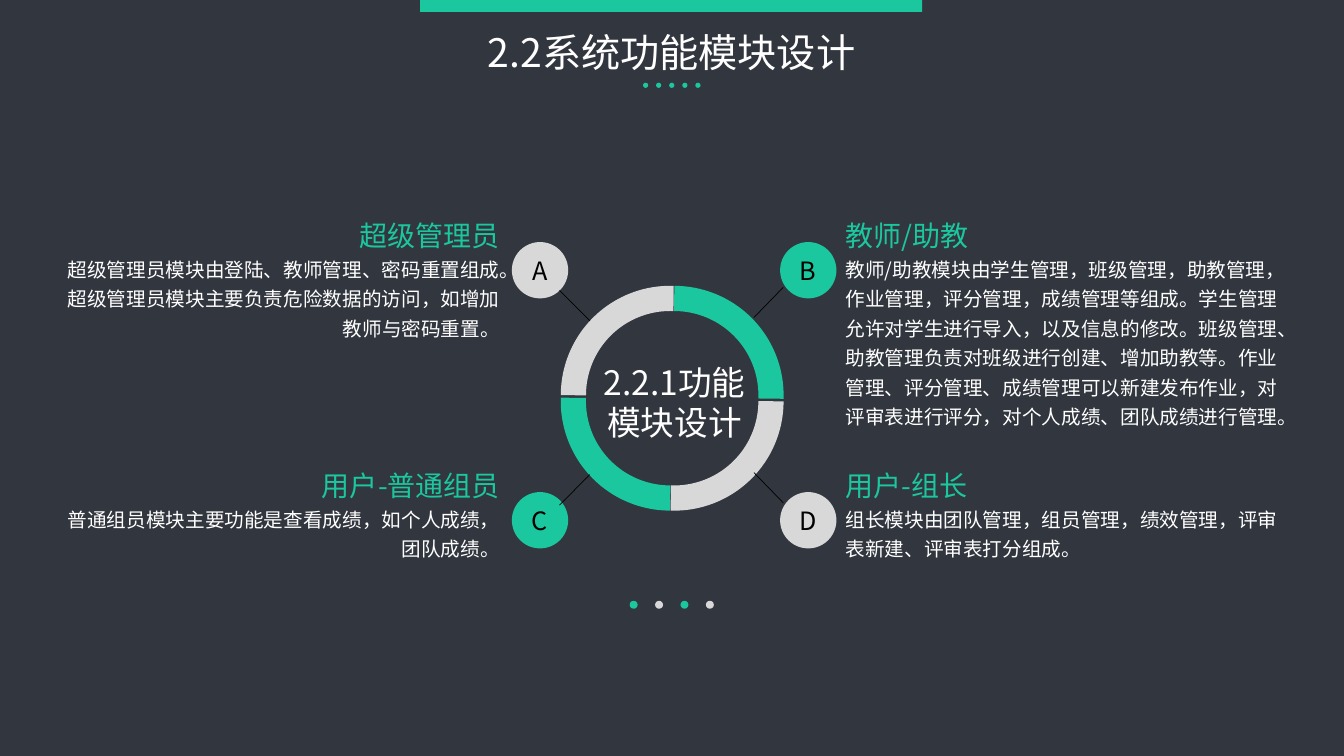
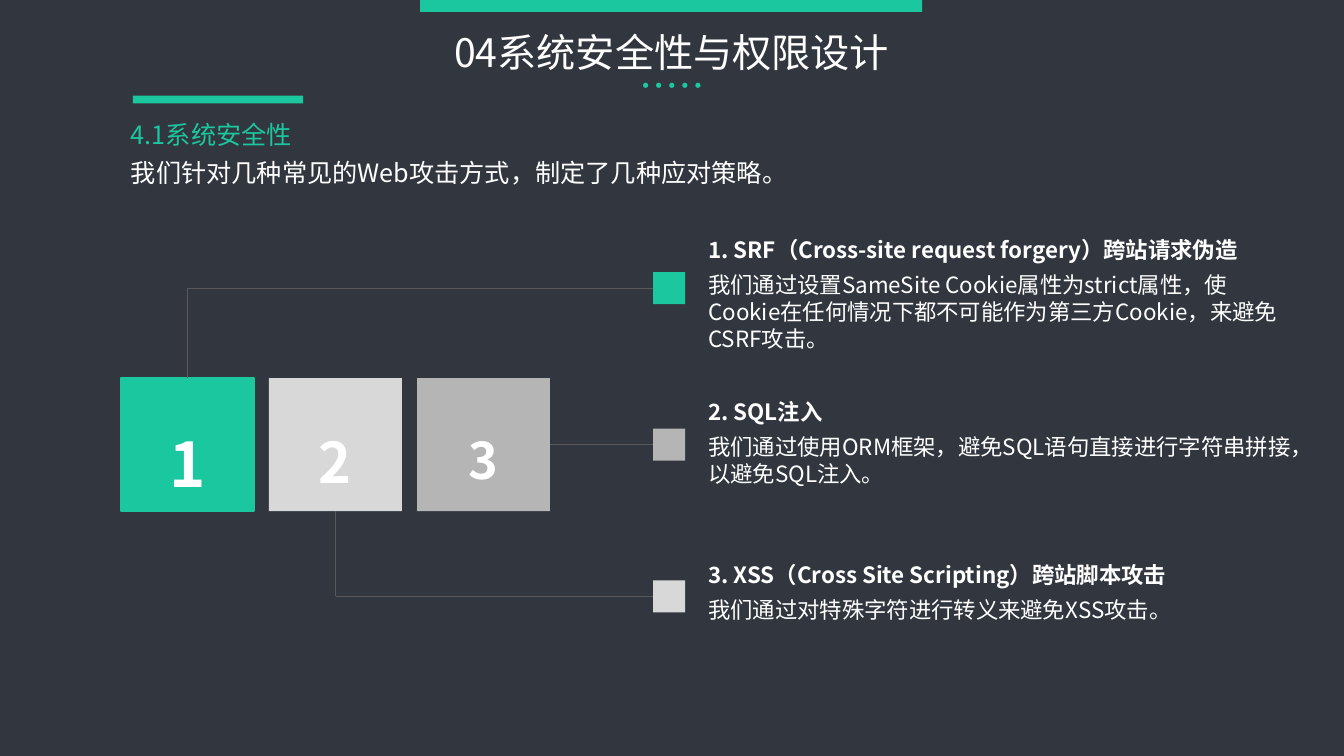
import pptx
import pptx.dml.color
import pptx.enum.shapes
import pptx.enum.text
import pptx.oxml.ns
import pptx.util
from lxml import etree

Cm = pptx.util.Cm
Pt = pptx.util.Pt
SHAPE = pptx.enum.shapes.MSO_SHAPE
ALIGN = pptx.enum.text.PP_ALIGN
ANCHOR = pptx.enum.text.MSO_ANCHOR

FONT = "Noto Sans CJK SC"
BACKGROUND = "32363F"
GREEN = "1BC79E"
LIGHT = "D8D8D8"
GREY = "B5B5B5"
WHITE = "FFFFFF"
BLACK = "000000"
LINE_GREY = "595959"

SLIDE_WIDTH = 33.87
SLIDE_HEIGHT = 19.05
CENTER_X = 16.93


def rgb(value):
    return pptx.dml.color.RGBColor.from_string(value)


def write_text(frame, lines, align=ALIGN.LEFT, anchor=ANCHOR.TOP,
               line_spacing=None, space_before=None):
    """Fill a text frame; each line is (text, size, colour, bold)."""
    frame.word_wrap = True
    frame.vertical_anchor = anchor
    for index, (text, size, color, bold) in enumerate(lines):
        paragraph = frame.add_paragraph() if index else frame.paragraphs[0]
        paragraph.text = text
        paragraph.alignment = align
        paragraph.line_spacing = line_spacing
        if space_before is not None:
            paragraph.space_before = Pt(space_before)
        font = paragraph.font
        font.size = Pt(size)
        font.bold = bold
        font.color.rgb = rgb(color)
        font.name = FONT
        properties = paragraph._p.pPr.find(pptx.oxml.ns.qn("a:defRPr"))
        etree.SubElement(properties, pptx.oxml.ns.qn("a:ea"), typeface=FONT)


def add_text(slide, left, top, width, height, lines, **style):
    box = slide.shapes.add_textbox(Cm(left), Cm(top), Cm(width), Cm(height))
    write_text(box.text_frame, lines, **style)


def add_filled(slide, kind, left, top, width, height, color):
    shape = slide.shapes.add_shape(kind, Cm(left), Cm(top), Cm(width), Cm(height))
    shape.shadow.inherit = False
    shape.fill.solid()
    shape.fill.fore_color.rgb = rgb(color)
    shape.line.fill.background()
    return shape


def add_dots(slide, center_y, diameter, pitch, colors):
    """Draw a row of dots centred across the slide."""
    first = CENTER_X - pitch * (len(colors) - 1) / 2 - diameter / 2
    for index, color in enumerate(colors):
        add_filled(slide, SHAPE.OVAL, first + index * pitch,
                   center_y - diameter / 2, diameter, diameter, color)


def add_line(slide, start, end, color, begin_side=None, end_side=None):
    """Draw a line; a side is (shape, connection index) to join."""
    line = slide.shapes.add_connector(
        pptx.enum.shapes.MSO_CONNECTOR.STRAIGHT,
        Cm(start[0]), Cm(start[1]), Cm(end[0]), Cm(end[1]))
    line.line.color.rgb = rgb(color)
    line.line.width = Pt(0.5)
    etree.SubElement(line._element.spPr, pptx.oxml.ns.qn("a:effectLst"))
    if begin_side:
        line.begin_connect(*begin_side)
    if end_side:
        line.end_connect(*end_side)


def add_ring_quarter(slide, left, top, rotation, color):
    arc = slide.shapes.add_shape(SHAPE.ARC, Cm(left), Cm(top), Cm(4.88), Cm(4.88))
    arc.shadow.inherit = False
    arc.adjustments[0] = 54
    arc.adjustments[1] = 109.2
    arc.rotation = rotation
    arc.fill.background()
    arc.line.color.rgb = rgb(color)
    arc.line.width = Pt(18)


def add_badge(slide, left, top, letter, color):
    badge = add_filled(slide, SHAPE.OVAL, left, top, 1.42, 1.42, color)
    write_text(badge.text_frame, [(letter, 18, BLACK, False)],
               align=ALIGN.CENTER, anchor=ANCHOR.MIDDLE)


def add_tile(slide, left, top, side, number, size, color):
    tile = add_filled(slide, SHAPE.RECTANGLE, left, top, side, side, color)
    frame = tile.text_frame
    frame.margin_left = frame.margin_right = 0
    frame.margin_top = frame.margin_bottom = 0
    write_text(frame, [(number, size, WHITE, True)], align=ALIGN.CENTER,
               anchor=ANCHOR.MIDDLE, line_spacing=1.5)
    return tile


def add_titled_slide(presentation, title):
    slide = presentation.slides.add_slide(presentation.slide_layouts[6])
    add_dots(slide, 2.15, 0.13, 0.33, [GREEN] * 5)
    add_filled(slide, SHAPE.RECTANGLE, 10.59, 0, 12.65, 0.3, GREEN)
    add_text(slide, 9.47, 0.58, 14.91, 1.45, [(title, 28, WHITE, False)],
             align=ALIGN.CENTER, anchor=ANCHOR.MIDDLE)
    return slide


def build_modules(presentation):
    slide = add_titled_slide(presentation, "2.2系统功能模块设计")

    for left, top, rotation, color in (
            (14.45, 7.67, 0, GREEN), (14.55, 7.67, 270, LIGHT),
            (14.55, 7.52, 180, GREEN), (14.45, 7.52, 90, LIGHT)):
        add_ring_quarter(slide, left, top, rotation, color)

    left_x, right_x = 12.9, 19.66
    upper_y, lower_y = 6.1, 12.4
    modules = (
        ("A", LIGHT, left_x, upper_y, (14.86, 8.08), (14.1, 7.32), "超级管理员",
         "超级管理员模块由登陆、教师管理、密码重置组成。超级管理员模块主要负责"
         "危险数据的访问，如增加教师与密码重置。"),
        ("B", GREEN, right_x, upper_y, (19, 8), (19.74, 7.24), "教师/助教",
         "教师/助教模块由学生管理，班级管理，助教管理，作业管理，评分管理，"
         "成绩管理等组成。学生管理允许对学生进行导入，以及信息的修改。班级管理、"
         "助教管理负责对班级进行创建、增加助教等。作业管理、评分管理、成绩管理"
         "可以新建发布作业，对评审表进行评分，对个人成绩、团队成绩进行管理。"),
        ("C", GREEN, left_x, lower_y, (14.86, 11.96), (14.1, 12.73), "用户-普通组员",
         "普通组员模块主要功能是查看成绩，如个人成绩，团队成绩。"),
        ("D", LIGHT, right_x, lower_y, (19, 11.91), (19.74, 12.67), "用户-组长",
         "组长模块由团队管理，组员管理，绩效管理，评审表新建、评审表打分组成。"),
    )
    for letter, color, left, top, ring_end, badge_end, heading, body in modules:
        add_badge(slide, left, top, letter, color)
        add_line(slide, ring_end, badge_end, BLACK)
        on_left = left == left_x
        add_text(slide, 1.04 if on_left else 21.06, top - 0.93, 11.81, 3.5,
                 [(heading, 20, GREEN, False), (body, 14, WHITE, False)],
                 align=ALIGN.RIGHT if on_left else ALIGN.LEFT, line_spacing=1.25)

    add_text(slide, 14.88, 8.99, 4.24, 2.31,
             [("2.2.1功能模块设计", 24, WHITE, False)], align=ALIGN.CENTER)
    add_dots(slide, 15.24, 0.2, 0.64, [GREEN, LIGHT] * 2)


def build_security(presentation):
    slide = add_titled_slide(presentation, "04系统安全性与权限设计")
    add_filled(slide, SHAPE.RECTANGLE, 3.35, 2.41, 4.29, 0.2, GREEN)
    add_text(slide, 3.05, 2.87, 28.35, 2.01,
             [("4.1系统安全性", 18, GREEN, False),
              ("我们针对几种常见的Web攻击方式，制定了几种应对策略。", 18, WHITE, False)],
             space_before=6)

    tile_left, tile_top, tile_side, tile_pitch = 3.05, 9.53, 3.35, 3.73
    tiles = [
        add_tile(slide, tile_left + index * tile_pitch, tile_top, tile_side,
                 str(index + 1), size, color)
        for index, (size, color) in enumerate(((44, GREEN), (40, LIGHT), (36, GREY)))]
    tiles[0].line.color.rgb = rgb(GREEN)
    tiles[0].line.width = Pt(1)

    marker_left, marker_side = 16.46, 0.81
    middle_y = tile_top + tile_side / 2
    upper_y, lower_y = 7.26, 15.03
    upper, middle, lower = [
        add_filled(slide, SHAPE.RECTANGLE, marker_left, center_y - marker_side / 2,
                   marker_side, marker_side, color)
        for center_y, color in ((upper_y, GREEN), (middle_y, GREY), (lower_y, LIGHT))]

    for tile, tile_index, tile_side_index, marker, marker_y, edge_y in (
            (tiles[0], 0, 0, upper, upper_y, tile_top),
            (tiles[1], 1, 2, lower, lower_y, tile_top + tile_side)):
        center_x = tile_left + tile_index * tile_pitch + tile_side / 2
        corner = (center_x, marker_y)
        add_line(slide, (marker_left, marker_y), corner, LINE_GREY,
                 begin_side=(marker, 1))
        add_line(slide, corner, (center_x, edge_y), LINE_GREY,
                 end_side=(tile, tile_side_index))
    add_line(slide, (marker_left, middle_y),
             (tile_left + 2 * tile_pitch + tile_side, middle_y), LINE_GREY,
             begin_side=(middle, 1), end_side=(tiles[2], 3))

    for top, height, heading, body in (
            (5.82, 3.2, "1. SRF（Cross-site request forgery）跨站请求伪造",
             "我们通过设置SameSite Cookie属性为strict属性，使Cookie在任何情况下都"
             "不可能作为第三方Cookie，来避免CSRF攻击。"),
            (9.91, 2.51, "2. SQL注入",
             "我们通过使用ORM框架，避免SQL语句直接进行字符串拼接，以避免SQL注入。"),
            (14.02, 1.83, "3. XSS（Cross Site Scripting）跨站脚本攻击",
             "我们通过对特殊字符进行转义来避免XSS攻击。")):
        add_text(slide, 17.6, top, 15.27, height,
                 [(heading, 16, WHITE, True), (body, 16, WHITE, False)],
                 space_before=6)


def main():
    presentation = pptx.Presentation()
    presentation.slide_width = Cm(SLIDE_WIDTH)
    presentation.slide_height = Cm(SLIDE_HEIGHT)
    background = presentation.slide_master.background.fill
    background.solid()
    background.fore_color.rgb = rgb(BACKGROUND)
    build_modules(presentation)
    build_security(presentation)
    presentation.save("out.pptx")


if __name__ == "__main__":
    main()
